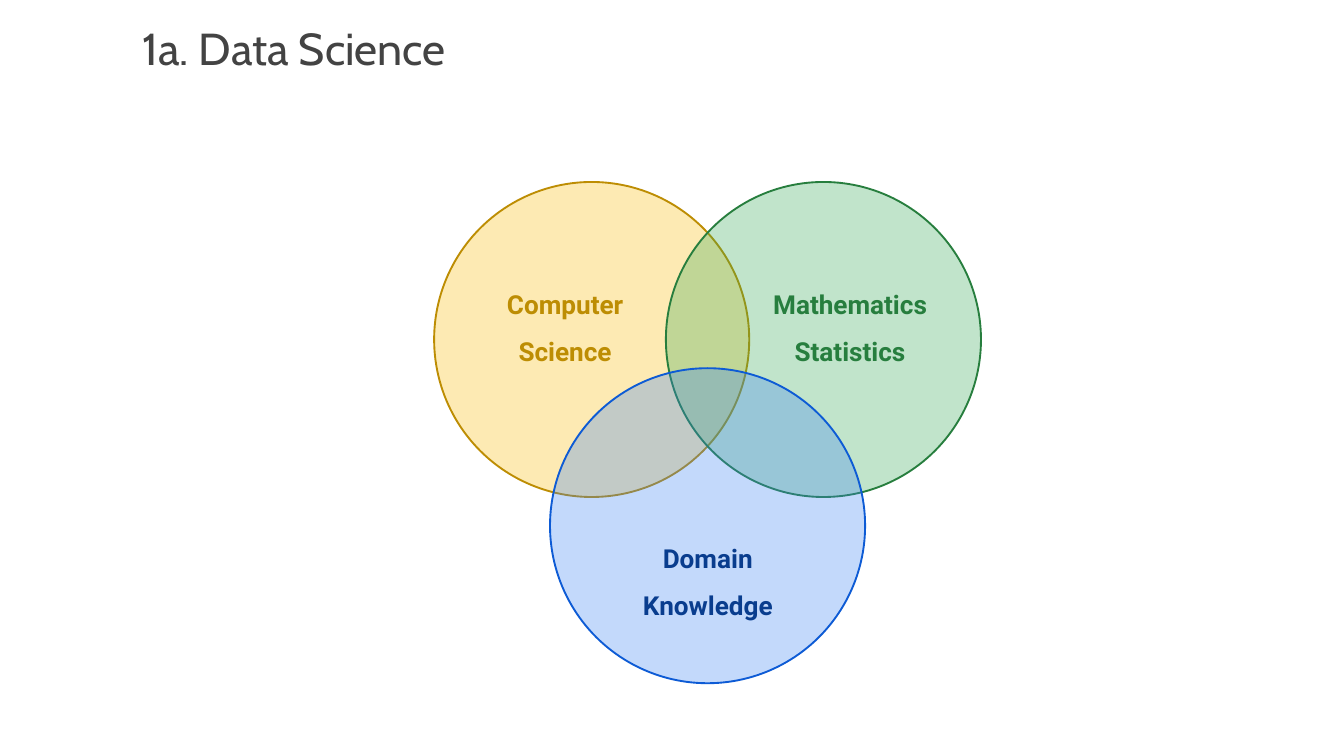
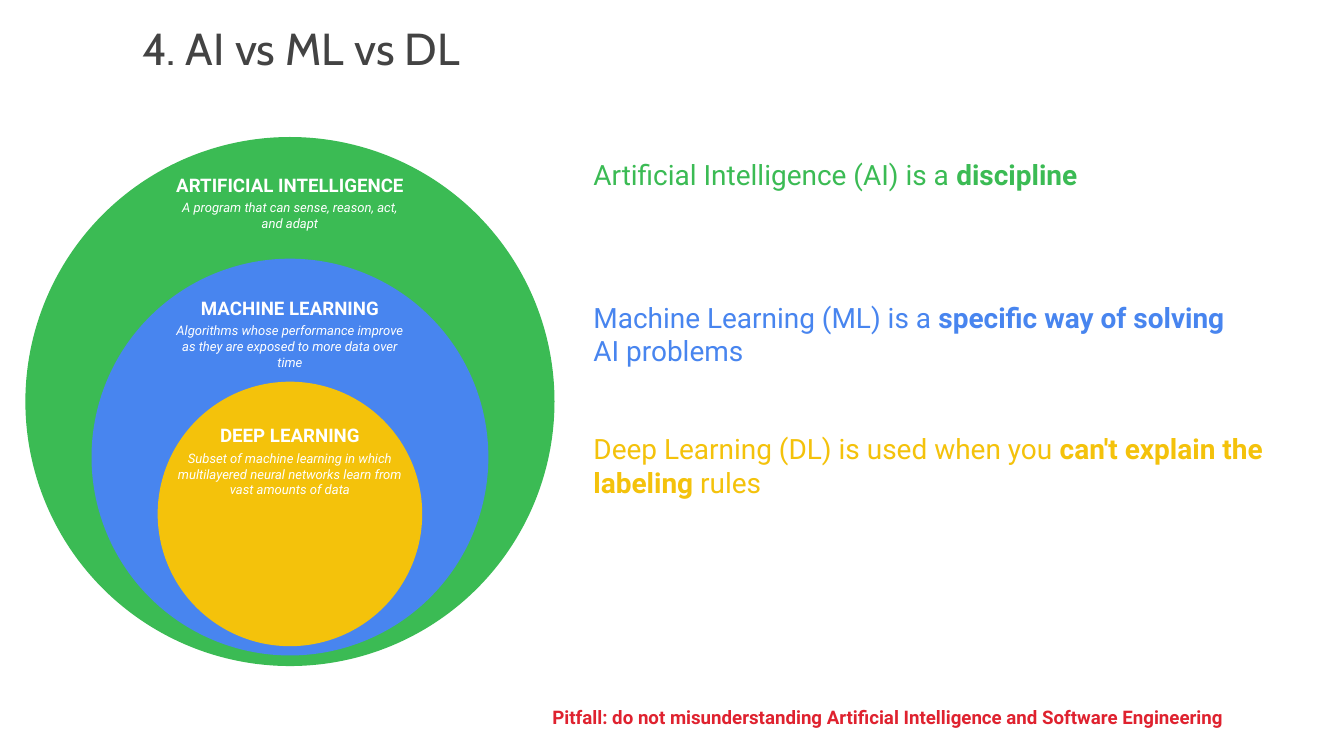
"""Build two slides on data science and on AI, ML and DL."""
from dataclasses import dataclass

from lxml.etree import SubElement
from pptx import Presentation
from pptx.dml.color import RGBColor
from pptx.enum.shapes import MSO_SHAPE
from pptx.enum.text import MSO_ANCHOR as Anchor, MSO_AUTO_SIZE, PP_ALIGN as Align
from pptx.oxml.ns import qn
from pptx.presentation import Presentation as Deck
from pptx.shapes.autoshape import Shape
from pptx.slide import Slide
from pptx.text.text import TextFrame, _Paragraph as Paragraph
from pptx.util import Cm, Pt

TITLE_FONT, BODY_FONT = "Cabin", "Roboto"
TITLE_GREY = RGBColor(0x43, 0x43, 0x43)
WHITE = RGBColor(0xFF, 0xFF, 0xFF)
WARNING_RED = RGBColor(0xDF, 0x22, 0x2F)
AMBER, AMBER_DARK = RGBColor(0xFB, 0xBC, 0x05), RGBColor(0xBD, 0x8D, 0x03)
GREEN, GREEN_DARK = RGBColor(0x34, 0xA8, 0x53), RGBColor(0x27, 0x7E, 0x3E)
BLUE, BLUE_LINE = RGBColor(0x3B, 0x83, 0xF3), RGBColor(0x0D, 0x5B, 0xD5)
BLUE_DARK = RGBColor(0x09, 0x3D, 0x8E)
AI_GREEN = RGBColor(0x3B, 0xBB, 0x54)
ML_BLUE = RGBColor(0x48, 0x85, 0xEF)
DL_YELLOW = RGBColor(0xF4, 0xC2, 0x0B)

TITLE_ONLY = 5
NARROW, WIDE = 0.25, 0.51
FIELD_SIZE, FIELD_OPACITY = 11.91, 30
CAPTION_WIDTH = 10
NEST_CENTER = 10.96
DEFINITION_LEFT, DEFINITION_HEIGHT = 21.92, 3.53


@dataclass(frozen=True)
class Box:
    """Place and size in centimetres."""

    left: float
    top: float
    width: float
    height: float

    def lengths(self) -> tuple[Cm, Cm, Cm, Cm]:
        """Return the four lengths in the order python-pptx expects."""
        return Cm(self.left), Cm(self.top), Cm(self.width), Cm(self.height)


@dataclass(frozen=True)
class Field:
    """One translucent circle of the Venn diagram with its label."""

    words: tuple[str, str]
    left: float
    top: float
    label_left: float
    label_top: float
    fill: RGBColor
    outline: RGBColor
    ink: RGBColor


@dataclass(frozen=True)
class Layer:
    """One nested circle with its caption and its definition."""

    name: str
    summary: str
    color: RGBColor
    diameter: float
    top: float
    caption_top: float
    caption_height: float
    definition: tuple[str, str, str]
    definition_top: float
    definition_width: float
    space_before: float


FIELDS = (
    Field(("Computer", "Science"), 16.41, 6.88, 17.55, 10.57, AMBER, AMBER_DARK, AMBER_DARK),
    Field(("Mathematics", "Statistics"), 25.17, 6.88, 28.32, 10.57, GREEN, GREEN_DARK, GREEN_DARK),
    Field(("Domain", "Knowledge"), 20.79, 13.92, 22.94, 20.19, BLUE, BLUE_LINE, BLUE_DARK),
)

LAYERS = (
    Layer("ARTIFICIAL INTELLIGENCE", "A program that can sense, reason, act, and adapt",
          AI_GREEN, 20, 5.18, 5.89, 3.53,
          ("Artificial Intelligence (AI) is a ", "discipline", ""), 5.72, 28.27, 4),
    Layer("MACHINE LEARNING",
          "Algorithms whose performance improve as they are exposed to more data over time",
          ML_BLUE, 15, 9.78, 10.57, 4.06,
          ("Machine Learning (ML) is a ", "specific way of solving", " AI problems"),
          11.1, 24.99, 2),
    Layer("DEEP LEARNING",
          "Subset of machine learning in which multilayered neural networks learn from "
          "vast amounts of data",
          DL_YELLOW, 10, 14.43, 15.39, 4.06,
          ("Deep Learning (DL) is used when you ", "can't explain the labeling", " rules"),
          16.08, 26.72, 2),
)


def set_frame(frame: TextFrame, side: float, anchor: Anchor) -> None:
    """Set wrapping, insets and anchor of a text frame."""
    frame.word_wrap = True
    frame.auto_size = MSO_AUTO_SIZE.NONE
    frame.vertical_anchor = anchor
    frame.margin_left = frame.margin_right = Cm(side)
    frame.margin_top = frame.margin_bottom = Cm(NARROW)


def style_runs(paragraph: Paragraph, size: float, color: RGBColor, bold: bool = False,
               italic: bool = False, typeface: str = BODY_FONT) -> None:
    """Format every run of a paragraph alike."""
    for run in paragraph.runs:
        run.font.name = typeface
        run.font.size = Pt(size)
        run.font.color.rgb = color
        run.font.bold = bold
        run.font.italic = italic


def add_titled_slide(deck: Deck, heading: str) -> Slide:
    """Add a slide with the shared title style."""
    slide = deck.slides.add_slide(deck.slide_layouts[TITLE_ONLY])
    title = slide.shapes.title
    title.left, title.top, title.width, title.height = Box(5.13, 0.53, 40.59, 3).lengths()
    set_frame(title.text_frame, NARROW, Anchor.TOP)
    title.text_frame.text = heading
    paragraph = title.text_frame.paragraphs[0]
    paragraph.alignment = Align.LEFT
    style_runs(paragraph, 48, TITLE_GREY, typeface=TITLE_FONT)
    return slide


def add_circle(slide: Slide, left: float, top: float, diameter: float, color: RGBColor) -> Shape:
    """Add a filled circle without outline or shadow."""
    circle = slide.shapes.add_shape(
        MSO_SHAPE.OVAL, *Box(left, top, diameter, diameter).lengths())
    circle.shadow.inherit = False
    circle.fill.solid()
    circle.fill.fore_color.rgb = color
    circle.line.fill.background()
    return circle


def set_opacity(shape: Shape, percent: int) -> None:
    """Make the solid fill of a shape translucent."""
    fill_color = shape._element.spPr.find(qn("a:solidFill")).find(qn("a:srgbClr"))
    SubElement(fill_color, qn("a:alpha")).set("val", str(percent * 1000))


def add_text(slide: Slide, box: Box, text: str, side: float = WIDE,
             anchor: Anchor = Anchor.TOP, align: Align = Align.LEFT,
             space_before: float = 0) -> TextFrame:
    """Add a text box with one paragraph per line of text."""
    frame = slide.shapes.add_textbox(*box.lengths()).text_frame
    set_frame(frame, side, anchor)
    frame.text = text
    for paragraph in frame.paragraphs:
        paragraph.alignment = align
        paragraph.space_before = Pt(space_before)
    return frame


def add_field_label(slide: Slide, field: Field) -> None:
    """Add the two-line label of a Venn circle."""
    label = add_text(slide, Box(field.label_left, field.label_top, 7.62, 3),
                     "\n".join(field.words), NARROW, Anchor.MIDDLE, Align.CENTER)
    for paragraph in label.paragraphs:
        paragraph.line_spacing = 1.5
        style_runs(paragraph, 28, field.ink, bold=True)


def add_caption(slide: Slide, layer: Layer) -> None:
    """Add the name and summary inside a nested circle."""
    box = Box(NEST_CENTER - CAPTION_WIDTH / 2, layer.caption_top,
              CAPTION_WIDTH, layer.caption_height)
    caption = add_text(slide, box, f"{layer.name}\n{layer.summary}",
                       anchor=Anchor.MIDDLE, align=Align.CENTER, space_before=4)
    name, summary = caption.paragraphs
    style_runs(name, 20, WHITE, bold=True)
    style_runs(summary, 14, WHITE, italic=True)


def add_definition(slide: Slide, layer: Layer) -> None:
    """Add the definition of a layer with its key words in bold."""
    lead, key_words, ending = layer.definition
    box = Box(DEFINITION_LEFT, layer.definition_top, layer.definition_width, DEFINITION_HEIGHT)
    definition = add_text(slide, box, lead, space_before=layer.space_before)
    paragraph = definition.paragraphs[0]
    for part in filter(None, (key_words, ending)):
        paragraph.add_run().text = part
    style_runs(paragraph, 30, layer.color)
    paragraph.runs[1].font.bold = True


def build_data_science(deck: Deck) -> None:
    """Draw the Venn diagram of the three fields."""
    slide = add_titled_slide(deck, "1a. Data Science")
    for field in FIELDS:
        circle = add_circle(slide, field.left, field.top, FIELD_SIZE, field.fill)
        set_opacity(circle, FIELD_OPACITY)
        circle.line.color.rgb = field.outline
        circle.line.width = Pt(2)
    for field in FIELDS:
        add_field_label(slide, field)


def build_ai_layers(deck: Deck) -> None:
    """Draw the nested circles, the definitions and the warning."""
    slide = add_titled_slide(deck, "4. AI vs ML vs DL")
    for layer in LAYERS:
        add_circle(slide, NEST_CENTER - layer.diameter / 2, layer.top,
                   layer.diameter, layer.color)
    for layer in LAYERS:
        add_definition(slide, layer)
        add_caption(slide, layer)
    pitfall = add_text(
        slide, Box(20.37, 26.44, 28.27, 1.6),
        "Pitfall: do not misunderstanding Artificial Intelligence and Software Engineering",
        space_before=2)
    style_runs(pitfall.paragraphs[0], 20, WARNING_RED, bold=True)


def main() -> None:
    """Build and save the deck."""
    deck = Presentation()
    deck.slide_width, deck.slide_height = Cm(50.8), Cm(28.58)
    build_data_science(deck)
    build_ai_layers(deck)
    deck.save("out.pptx")


if __name__ == "__main__":
    main()
